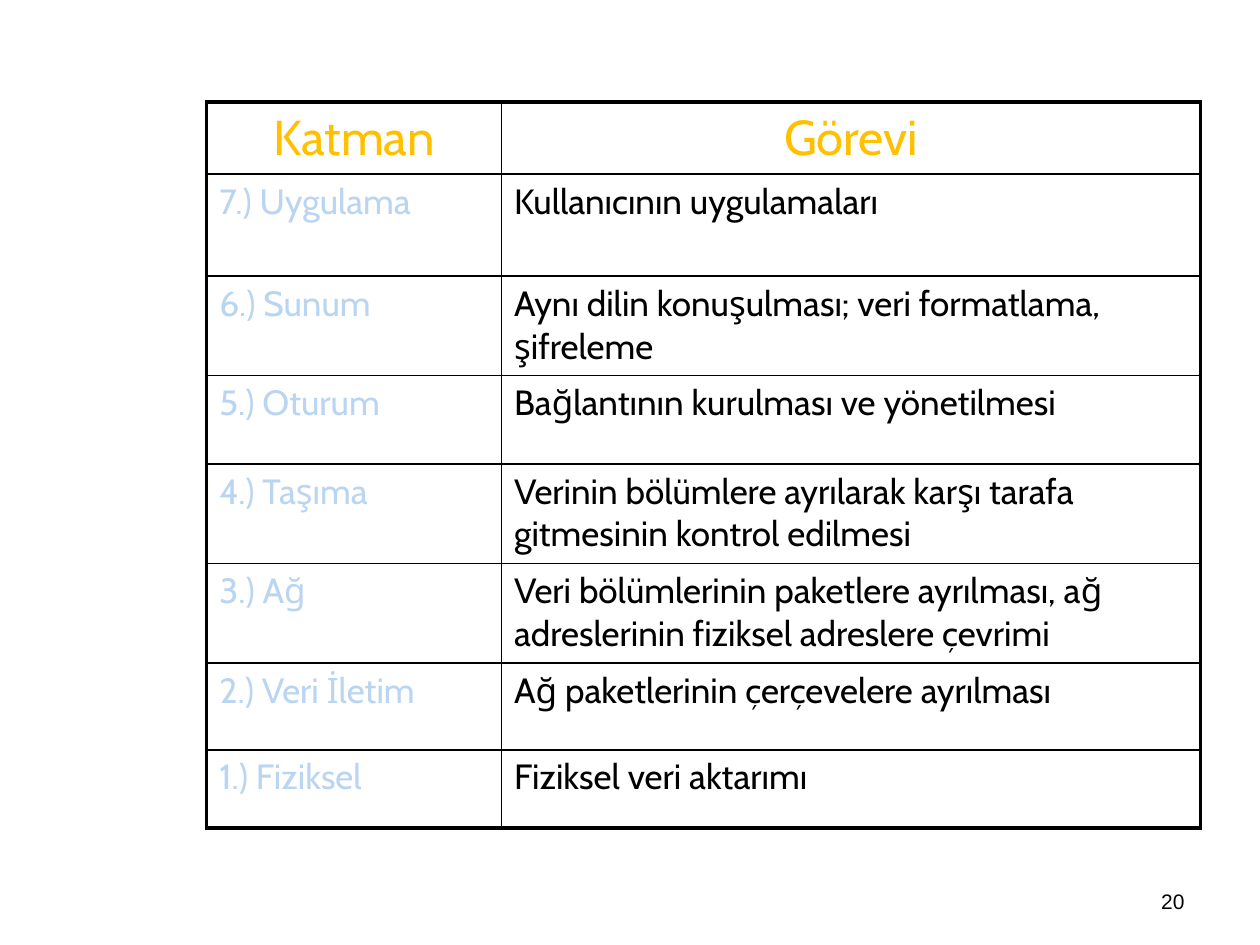
from dataclasses import dataclass

from lxml.etree import SubElement
from pptx import Presentation
from pptx.dml.color import RGBColor
from pptx.enum.text import MSO_ANCHOR, PP_ALIGN
from pptx.oxml.ns import qn
from pptx.util import Inches, Pt

HEADERS = ("Katman", "Görevi")
LAYERS = [
    ("7.) Uygulama", "Kullanıcının uygulamaları"),
    ("6.) Sunum", "Aynı dilin konuşulması; veri formatlama, şifreleme"),
    ("5.) Oturum", "Bağlantının kurulması ve yönetilmesi"),
    ("4.) Taşıma", "Verinin bölümlere ayrılarak karşı tarafa gitmesinin kontrol edilmesi"),
    ("3.) Ağ", "Veri bölümlerinin paketlere ayrılması, ağ adreslerinin fiziksel adreslere çevrimi"),
    ("2.) Veri İletim", "Ağ paketlerinin çerçevelere ayrılması"),
    ("1.) Fiziksel", "Fiziksel veri aktarımı"),
]
PAGE_NUMBER = "20"
COLUMN_WIDTHS = (2.34, 5.55)
ROW_HEIGHTS = (0.55, 0.81, 0.79, 0.7, 0.79, 0.79, 0.69, 0.62)


@dataclass(frozen=True)
class Theme:
    font: str = "Cabin"
    number_font: str = "Arial"
    header_color: str = "FFC000"
    layer_color: str = "B9D5F1"
    text_color: str = "000000"
    border_color: str = "000000"
    header_size: float = 28
    body_size: float = 20
    number_size: float = 12
    outer_border: float = 2.25
    inner_border: float = 1


THEME = Theme()


def write_text(text_frame, text, font, size, color, alignment):
    paragraph = text_frame.paragraphs[0]
    paragraph.alignment = alignment
    run = paragraph.add_run()
    run.text = text
    run.font.name = font
    run.font.size = Pt(size)
    run.font.color.rgb = RGBColor.from_string(color)


def set_borders(cell, outer_edges):
    properties = cell._tc.get_or_add_tcPr()
    for position, (edge, is_outer) in enumerate(outer_edges.items()):
        width = THEME.outer_border if is_outer else THEME.inner_border
        line = SubElement(properties, qn(f"a:{edge}"), w=str(Pt(width)))
        fill = SubElement(line, qn("a:solidFill"))
        SubElement(fill, qn("a:srgbClr"), val=THEME.border_color)
        properties.insert(position, line)


def add_layer_table(slide):
    rows = [HEADERS, *LAYERS]
    frame = slide.shapes.add_table(
        len(rows), len(HEADERS), Inches(1.64), Inches(0.81),
        Inches(sum(COLUMN_WIDTHS)), Inches(sum(ROW_HEIGHTS)),
    )
    table = frame.table
    table.first_row = False
    table.horz_banding = False
    for column, width in zip(table.columns, COLUMN_WIDTHS):
        column.width = Inches(width)
    for row, height in zip(table.rows, ROW_HEIGHTS):
        row.height = Inches(height)

    last_row, last_column = len(rows) - 1, len(HEADERS) - 1
    body_colors = (THEME.layer_color, THEME.text_color)
    for row_index, texts in enumerate(rows):
        is_header = row_index == 0
        size = THEME.header_size if is_header else THEME.body_size
        alignment = PP_ALIGN.CENTER if is_header else PP_ALIGN.LEFT
        for column_index, text in enumerate(texts):
            cell = table.cell(row_index, column_index)
            cell.fill.background()
            color = THEME.header_color if is_header else body_colors[column_index]
            write_text(cell.text_frame, text, THEME.font, size, color, alignment)
            set_borders(cell, {
                "lnL": column_index == 0,
                "lnR": column_index == last_column,
                "lnT": is_header,
                "lnB": row_index == last_row,
            })


def add_page_number(slide):
    box = slide.shapes.add_textbox(Inches(7.17), Inches(6.95), Inches(2.33), Inches(0.4))
    box.text_frame.word_wrap = True
    box.text_frame.vertical_anchor = MSO_ANCHOR.MIDDLE
    write_text(box.text_frame, PAGE_NUMBER, THEME.number_font, THEME.number_size,
               THEME.text_color, PP_ALIGN.RIGHT)


def main():
    presentation = Presentation()
    presentation.slide_width = Inches(10)
    presentation.slide_height = Inches(7.5)
    slide = presentation.slides.add_slide(presentation.slide_layouts[6])
    add_layer_table(slide)
    add_page_number(slide)
    presentation.save("out.pptx")


if __name__ == "__main__":
    main()
